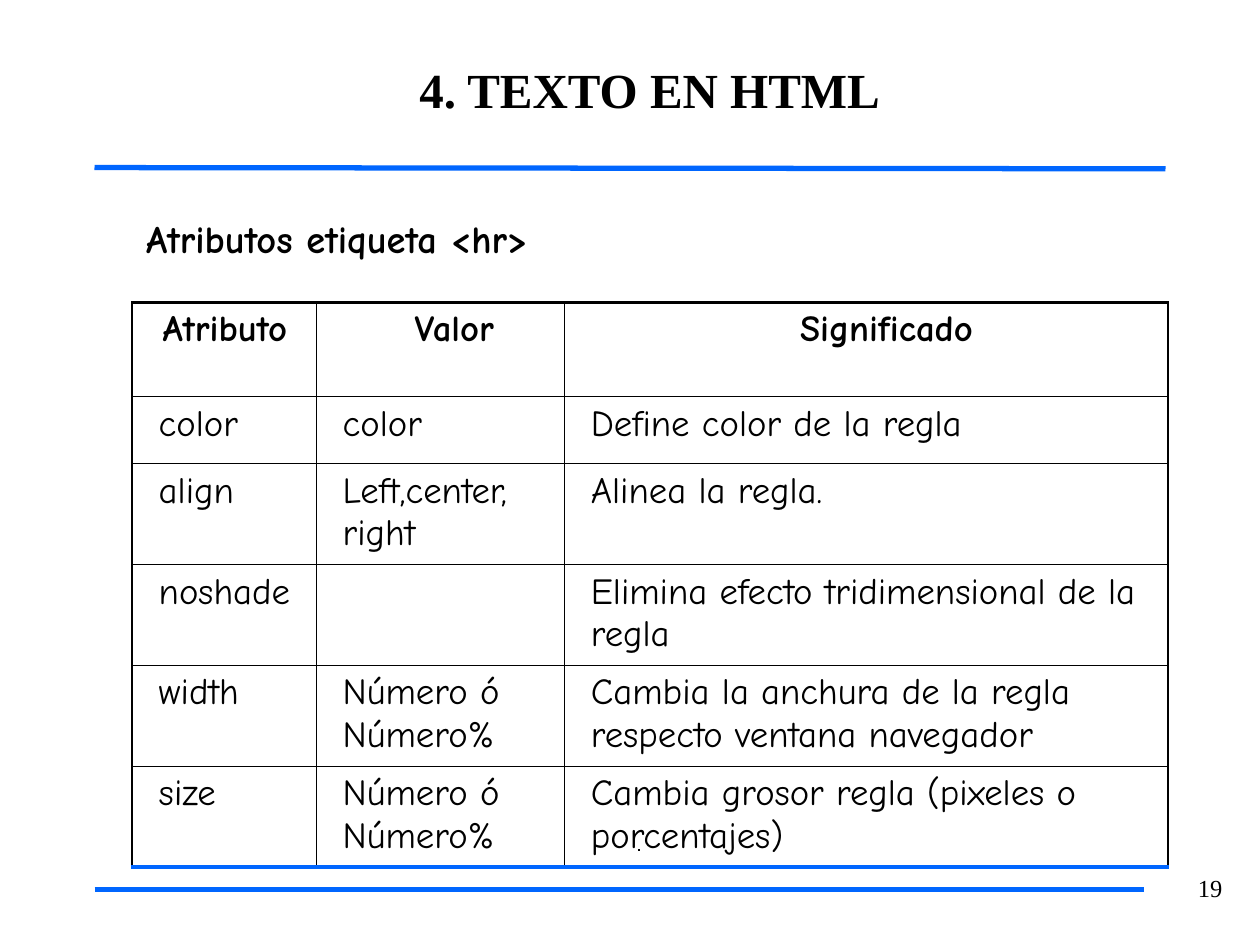
from pptx import Presentation
from pptx.dml.color import RGBColor
from pptx.enum.shapes import MSO_CONNECTOR as Link
from pptx.enum.text import MSO_ANCHOR as Anchor, PP_ALIGN as Align
from pptx.oxml.ns import qn
from pptx.util import Inches, Pt
from lxml.etree import SubElement as Sub

TITLE = "4. TEXTO EN HTML"
HEAD = "Atributos etiqueta <hr>"
PAGE = "19"
ROWS = [
    ("Atributo", "Valor", "Significado"),
    ("color", "color", "Define color de la regla"),
    ("align", "Left,center, right", "Alinea la regla."),
    ("noshade", "", "Elimina efecto tridimensional de la regla"),
    ("width", "Número ó Número%", "Cambia la anchura de la regla respecto ventana navegador"),
    ("size", "Número ó Número%", "Cambia grosor regla (pixeles o porcentajes)"),
]
WIDTHS = (1.46, 1.97, 4.79)
HEIGHTS = (0.75, 0.53, 0.77, 0.77, 0.77, 0.76)
INDENTS = (0.14, 0.68, 1.77)
BODY = 0.11
RULES = [(0.75, 1.33, 9.25, 1.34), (0.75, 7.06, 8.92, 7.06), (0.92, 7.06, 9.08, 7.06)]
DOT = (5.06, 6.74, 0.02, 0.01)
THEME = {
    "ink": "000000", "blue": "0066FF", "serif": "Times New Roman", "hand": "Comic Neue",
    "title": 28, "head": 22, "cell": 21, "page": 14,
    "rule": 3, "cols": (1.47, 0.75, 0.45, 1.08), "top": 1.47, "row": 0.75,
}


def style(par, text, face, size, bold=False, align=Align.LEFT):
    par.text = text
    par.alignment = align
    font = par.font
    font.name, font.size, font.bold = THEME[face], Pt(THEME[size]), bold
    font.color.rgb = RGBColor.from_string(THEME["ink"])


def add_text(slide, text, at, pad, *look):
    box = slide.shapes.add_textbox(*map(Inches, at))
    frame = box.text_frame
    frame.word_wrap = True
    sides = ("margin_left", "margin_top", "margin_right", "margin_bottom")
    for side, gap in zip(sides, pad):
        setattr(frame, side, Inches(gap))
    style(frame.paragraphs[0], text, *look)
    return frame


def add_rule(slide, ends):
    rule = slide.shapes.add_connector(Link.STRAIGHT, *map(Inches, ends))
    rule.line.color.rgb = RGBColor.from_string(THEME["blue"])
    rule.line.width = Pt(THEME["rule"])
    Sub(rule._element.spPr, qn("a:effectLst"))


def add_dot(slide, left, top, wide, high):
    pen = slide.shapes.build_freeform(Inches(left), Inches(top))
    pen.add_line_segments([
        (Inches(left + x), Inches(top + y)) for x, y in ((wide, 0), (wide, high), (0, high))
    ])
    dot = pen.convert_to_shape()
    dot.shadow.inherit = False
    dot.fill.solid()
    dot.fill.fore_color.rgb = RGBColor.from_string(THEME["ink"])
    dot.line.fill.background()


def set_edges(cell, edges):
    props = cell._tc.get_or_add_tcPr()
    for spot, (side, (color, width)) in enumerate(edges.items()):
        line = props.makeelement(qn(f"a:ln{side}"), {"w": str(int(Pt(width)))})
        fill = Sub(line, qn("a:solidFill"))
        Sub(fill, qn("a:srgbClr"), val=color)
        props.insert(spot, line)


def add_grid(slide):
    size = map(Inches, (1.05, 2.4, sum(WIDTHS), sum(HEIGHTS)))
    grid = slide.shapes.add_table(len(ROWS), len(WIDTHS), *size).table
    grid.first_row = grid.horz_banding = False
    for col, width in zip(grid.columns, WIDTHS):
        col.width = Inches(width)
    for row, height in zip(grid.rows, HEIGHTS):
        row.height = Inches(height)
    ink, last = THEME["ink"], len(ROWS) - 1
    for r, row in enumerate(ROWS):
        for c, text in enumerate(row):
            cell = grid.cell(r, c)
            cell.fill.background()
            cell.vertical_anchor = Anchor.TOP
            par = cell.text_frame.paragraphs[0]
            style(par, text, "hand", "cell", r == 0)
            props = par._p.get_or_add_pPr()
            props.set("marL", str(Inches(BODY if r else INDENTS[c])))
            props.set("indent", "0")
            set_edges(cell, {
                "L": (ink, THEME["cols"][c]),
                "R": (ink, THEME["cols"][c + 1]),
                "T": (ink, THEME["row"] if r else THEME["top"]),
                "B": (THEME["blue"], THEME["rule"]) if r == last else (ink, THEME["row"]),
            })


def main():
    """Build the slide on the attributes of the hr tag."""
    deck = Presentation()
    deck.slide_width, deck.slide_height = Inches(10), Inches(7.5)
    slide = deck.slides.add_slide(deck.slide_layouts[6])
    pad = (0.1, 0.05, 0.1, 0.05)
    for ends in RULES:
        add_rule(slide, ends)
    page = add_text(slide, PAGE, (9.36, 6.9, 0.44, 0.32), pad, "serif", "page", False, Align.RIGHT)
    page.paragraphs[0].line_spacing = 0.93
    add_dot(slide, *DOT)
    add_text(slide, HEAD, (1.15, 1.7, 3.61, 0.38), (0.01, 0.01, 0, 0), "hand", "head", True)
    add_grid(slide)
    add_text(slide, TITLE, (0.43, 0.42, 9.45, 0.57), pad, "serif", "title", True, Align.CENTER)
    deck.save("out.pptx")


if __name__ == "__main__":
    main()
